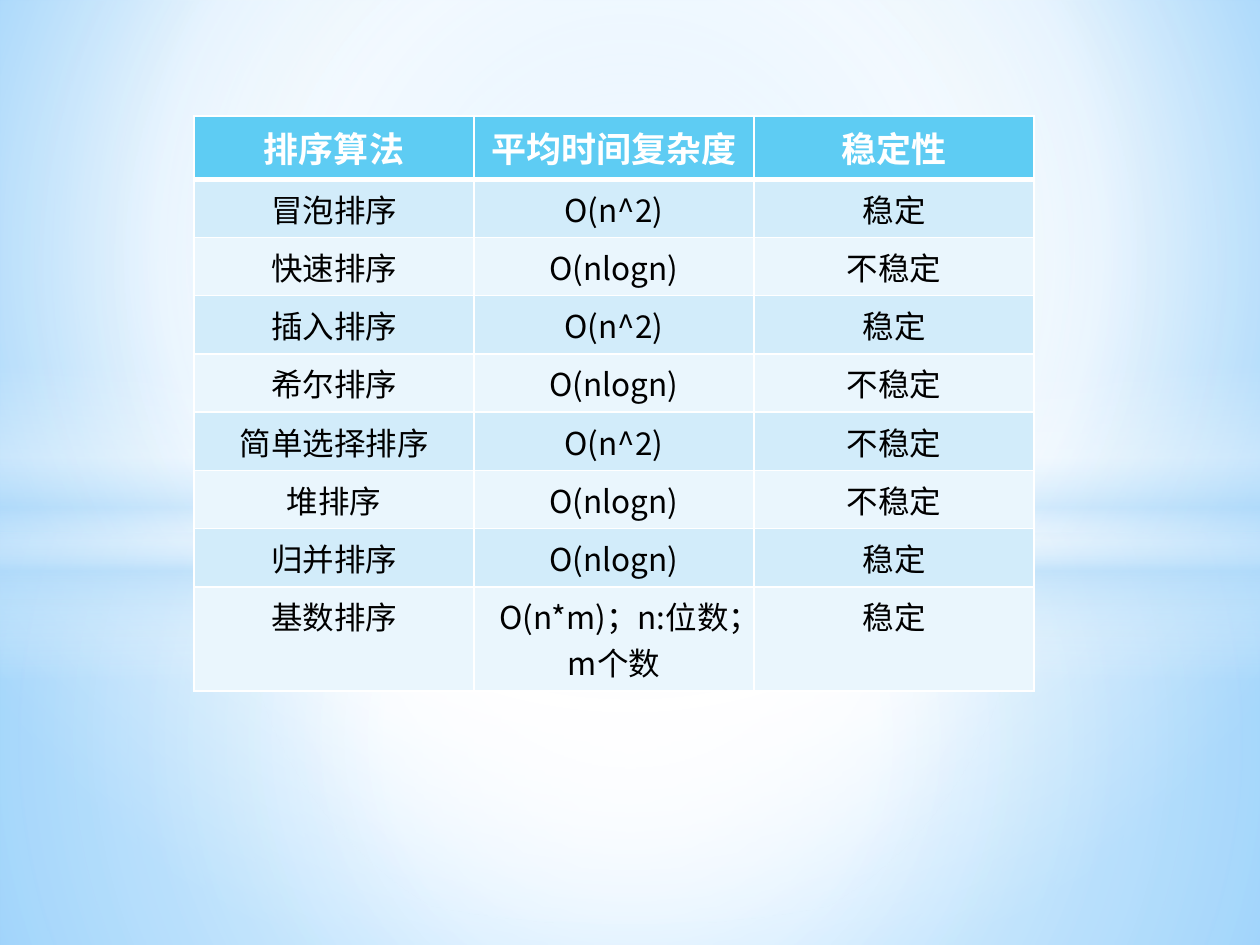
from lxml.etree import SubElement
from pptx import Presentation
from pptx.dml.color import RGBColor
from pptx.enum.shapes import MSO_SHAPE as Shape
from pptx.enum.text import PP_ALIGN as Align
from pptx.oxml.ns import qn
from pptx.oxml.xmlchemy import OxmlElement as new_element
from pptx.util import Pt

FONT = "Noto Sans CJK SC"
WHITE, HEADER, BANDS = "FFFFFF", "5ECCF3", ("D2ECFA", "EAF6FD")
PALE = "B4DCFA"
CENTRE = (50, 50, 50, 50)
ROWS = (
    ("排序算法", "平均时间复杂度", "稳定性"),
    ("冒泡排序", "O(n^2)", "稳定"),
    ("快速排序", "O(nlogn)", "不稳定"),
    ("插入排序", "O(n^2)", "稳定"),
    ("希尔排序", "O(nlogn)", "不稳定"),
    ("简单选择排序", "O(n^2)", "不稳定"),
    ("堆排序", "O(nlogn)", "不稳定"),
    ("归并排序", "O(nlogn)", "稳定"),
    ("基数排序", "O(n*m)；n:位数；m个数", "稳定"),
)


def color(hex_value):
    """Turn a hex string into a colour."""
    return RGBColor.from_string(hex_value)


def set_gradient(fill, element, stops, focus=None, angle=90):
    """Fill with (position, colour, opacity) stops, circular around focus or linear."""
    fill.solid()
    solid = element.find(".//" + qn("a:solidFill"))
    gradient = new_element("a:gradFill")
    gradient.set("rotWithShape", "1")
    stop_list = SubElement(gradient, qn("a:gsLst"))
    for position, hex_value, opacity in stops:
        stop = SubElement(stop_list, qn("a:gs"), pos=str(position * 1000))
        tint = SubElement(stop, qn("a:srgbClr"), val=hex_value)
        if opacity < 100:
            SubElement(tint, qn("a:alpha"), val=str(opacity * 1000))
    if focus:
        circle = SubElement(gradient, qn("a:path"), {"path": "circle"})
        sides = {side: str(share * 1000) for side, share in zip("ltrb", focus)}
        SubElement(circle, qn("a:fillToRect"), sides)
    else:
        SubElement(gradient, qn("a:lin"), ang=str(angle * 60000), scaled="0")
    solid.getparent().replace(solid, gradient)


def add_glow(slide, top, height, stops, focus=CENTRE, kind=Shape.RECTANGLE):
    """Add a borderless gradient shape across the full slide width."""
    shape = slide.shapes.add_shape(kind, 0, Pt(top), Pt(720), Pt(height))
    shape.shadow.inherit = False
    shape.line.fill.background()
    set_gradient(shape.fill, shape.element, stops, focus)


def add_backdrop(slide):
    """Paint the background and its layers of light."""
    set_gradient(slide.background.fill, slide.element,
                 [(0, "9ED5FF", 100), (60, WHITE, 100), (100, "5BB9FF", 100)],
                 (20, 10, 20, 60))
    add_glow(slide, 304.5, 235.5, [(0, WHITE, 91), (37, WHITE, 76), (100, PALE, 79)])
    add_glow(slide, 0, 304.5, [(0, WHITE, 89), (48, WHITE, 62), (100, PALE, 79)])
    add_glow(slide, 209, 180,
             [(0, WHITE, 0), (29, WHITE, 30), (45, PALE, 40),
              (55, WHITE, 26), (65, PALE, 60), (100, WHITE, 0)], focus=None)
    add_glow(slide, 126, 402, [(0, WHITE, 100), (54, WHITE, 0)], kind=Shape.OVAL)


def write_text(frame, text, size=18, hex_value="000000", bold=False, align=Align.CENTER):
    """Write one formatted paragraph."""
    paragraph = frame.paragraphs[0]
    paragraph.alignment = align
    run = paragraph.add_run()
    run.text = text
    run.font.size = Pt(size)
    run.font.bold = bold
    run.font.name = FONT
    run.font.color.rgb = color(hex_value)
    SubElement(run.font._element, qn("a:ea"), typeface=FONT)


def set_borders(cell, **widths):
    """Draw white borders, given as widths in points by side letter."""
    properties = cell._tc.get_or_add_tcPr()
    for index, (side, width) in enumerate(widths.items()):
        line = new_element(f"a:ln{side}")
        line.set("w", str(Pt(width)))
        fill = SubElement(line, qn("a:solidFill"))
        SubElement(fill, qn("a:srgbClr"), val=WHITE)
        properties.insert(index, line)


def add_sorting_table(slide):
    """Add the comparison of sorting algorithms."""
    frame = slide.shapes.add_table(len(ROWS), len(ROWS[0]), Pt(110.9), Pt(66.2),
                                   Pt(480), Pt(29.2 * len(ROWS)))
    table = frame.table
    for row_index, texts in enumerate(ROWS):
        header = row_index == 0
        for column_index, text in enumerate(texts):
            cell = table.cell(row_index, column_index)
            cell.fill.solid()
            cell.fill.fore_color.rgb = color(HEADER if header else BANDS[(row_index - 1) % 2])
            set_borders(cell, L=1, R=1, T=3 if row_index == 1 else 1, B=3 if header else 1)
            if header:
                write_text(cell.text_frame, text, size=20, hex_value=WHITE, bold=True)
            else:
                write_text(cell.text_frame, text)


def main():
    """Build and save the slide."""
    presentation = Presentation()
    presentation.slide_width, presentation.slide_height = Pt(720), Pt(540)
    slide = presentation.slides.add_slide(presentation.slide_layouts[6])
    add_backdrop(slide)
    add_sorting_table(slide)
    presentation.save("out.pptx")


if __name__ == "__main__":
    main()
